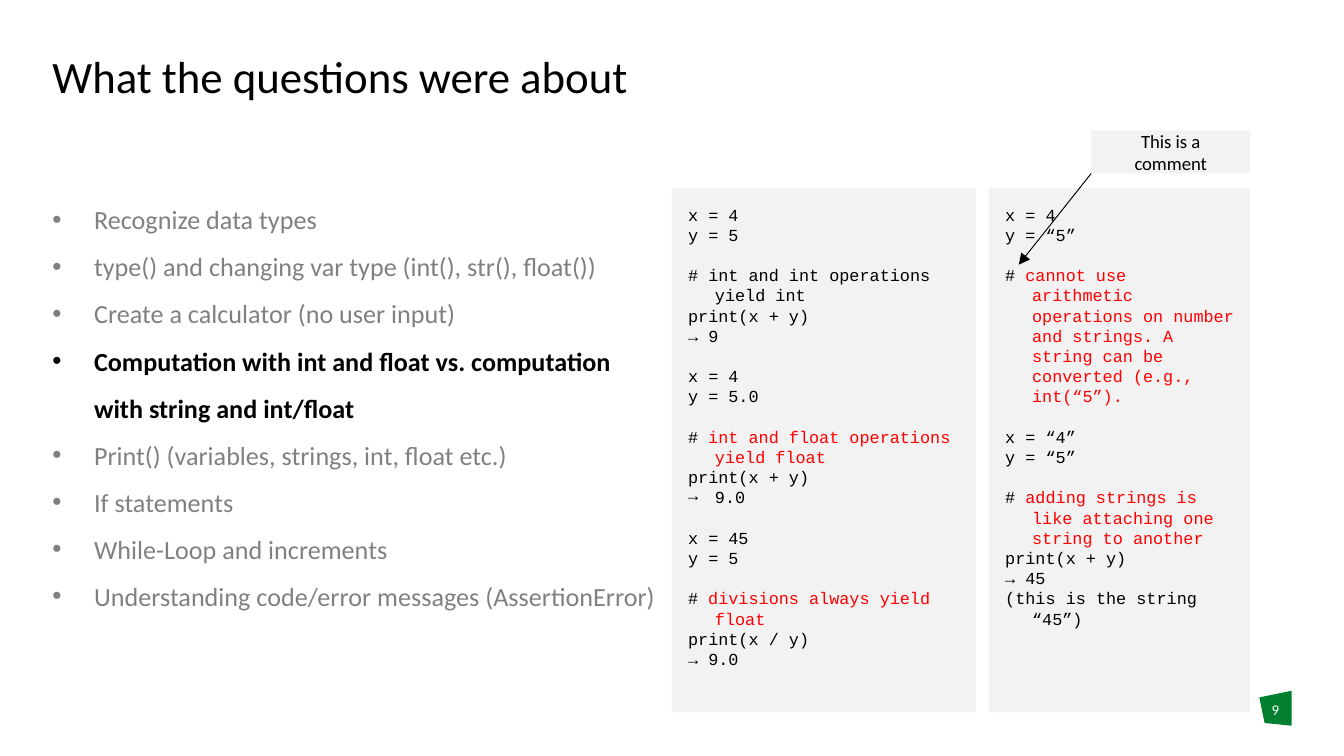
from lxml.etree import SubElement
from pptx import Presentation
from pptx.dml.color import RGBColor
from pptx.enum.shapes import MSO_CONNECTOR, MSO_SHAPE
from pptx.enum.text import MSO_ANCHOR, MSO_AUTO_SIZE, PP_ALIGN
from pptx.oxml.ns import qn
from pptx.util import Inches, Pt

COLORS = {"text": "000000", "muted": "808080", "comment": "FF0000",
          "panel": "F2F2F2", "badge": "00802F", "white": "FFFFFF"}

TOPICS = [
    "Recognize data types",
    "type() and changing var type (int(), str(), float())",
    "Create a calculator (no user input)",
    "Computation with int and float vs. computation with string and int/float",
    "Print() (variables, strings, int, float etc.)",
    "If statements",
    "While-Loop and increments",
    "Understanding code/error messages (AssertionError)",
]
CURRENT_TOPIC = 3

# Blocks of code lines; a pair is a "# " followed by a highlighted comment
NUMBER_CODE = [
    ["x = 4", "y = 5"],
    ["# int and int operations yield int", "print(x + y)", "→ 9"],
    ["x = 4", "y = 5.0"],
    [("# ", "int and float operations yield float"), "print(x + y)", "→\t9.0"],
    ["x = 45", "y = 5"],
    [("# ", "divisions always yield float"), "print(x / y)", "→ 9.0"],
]
STRING_CODE = [
    ["x = 4", "y = “5”"],
    [("# ", "cannot use arithmetic operations on number and strings. "
            "A string can be converted (e.g., int(“5”).")],
    ["x = “4”", "y = “5”"],
    [("# ", "adding strings is like attaching one string to another"),
     "print(x + y)", "→ 45", "(this is the string “45”)"],
]


class SlideBuilder:
    font = "Calibri"
    code_font = "Courier New"
    bullet_fonts = {"•": "Arial", "→": "Courier New"}
    code_size = 9
    code_gap = 10.8

    def __init__(self, prs):
        self.s = prs.slides.add_slide(prs.slide_layouts[5])

    def color(self, name):
        return RGBColor.from_string(COLORS[name])

    def frame(self, sp, insets=(0, 0, 0, 0), anchor=MSO_ANCHOR.TOP):
        tf = sp.text_frame
        tf.word_wrap = True
        tf.auto_size = MSO_AUTO_SIZE.NONE
        tf.vertical_anchor = anchor
        (tf.margin_left, tf.margin_top,
         tf.margin_right, tf.margin_bottom) = map(Inches, insets)
        return tf

    def paragraph(self, tf, first, indent=0, bullet=None):
        p = tf.paragraphs[0] if first else tf.add_paragraph()
        p.alignment = PP_ALIGN.LEFT
        pPr = p._p.get_or_add_pPr()
        pPr.set("marL", str(Inches(indent)))
        pPr.set("indent", str(-Inches(indent)))
        if bullet:
            SubElement(pPr, qn("a:buFont")).set("typeface", self.bullet_fonts[bullet])
            SubElement(pPr, qn("a:buChar")).set("char", bullet)
        return p

    def run(self, p, text, size, color="text", font=None, bold=False):
        r = p.add_run()
        r.text = text
        r.font.name = font or self.font
        r.font.size = Pt(size)
        r.font.bold = bold
        r.font.color.rgb = self.color(color)
        return r

    def title(self, text, x, y, w, h):
        sp = self.s.shapes.title
        sp.left, sp.top, sp.width, sp.height = map(Inches, (x, y, w, h))
        p = self.paragraph(self.frame(sp), True)
        p.line_spacing = 0.9
        self.run(p, text, 24)

    def bullets(self, items, current, x, y, w, h):
        sp = self.s.shapes.add_textbox(*map(Inches, (x, y, w, h)))
        tf = self.frame(sp)
        for i, text in enumerate(items):
            p = self.paragraph(tf, i == 0, 0.31, "•")
            p.line_spacing = 1.5
            active = i == current
            self.run(p, text, 14, "text" if active else "muted", bold=active)

    def panel(self, x, y, w, h):
        sp = self.s.shapes.add_shape(MSO_SHAPE.RECTANGLE,
                                     *map(Inches, (x, y, w, h)))
        sp.shadow.inherit = False
        sp.fill.solid()
        sp.fill.fore_color.rgb = self.color("panel")
        sp.line.fill.background()
        return sp

    def code(self, blocks, x, y, w, h):
        tf = self.frame(self.panel(x, y, w, h), (0.12, 0.12, 0.11, 0.08))
        for i, block in enumerate(blocks):
            for j, line in enumerate(block):
                parts = (line,) if isinstance(line, str) else line
                bullet = None
                if parts[0].startswith("→\t"):
                    bullet, text = parts[0].split("\t")
                    parts = (text,)
                p = self.paragraph(tf, i == j == 0, 0.2, bullet)
                if i and j == 0:
                    p.space_before = Pt(self.code_gap)
                for part, color in zip(parts, ("text", "comment")):
                    self.run(p, part, self.code_size, color, self.code_font)

    def callout(self, text, x, y, w, h):
        sp = self.panel(x, y, w, h)
        tf = self.frame(sp, (0.1, 0.05, 0.1, 0.05), MSO_ANCHOR.MIDDLE)
        p = self.paragraph(tf, True)
        p.alignment = PP_ALIGN.CENTER
        self.run(p, text, 10)

    def arrow(self, x1, y1, x2, y2):
        line = self.s.shapes.add_connector(MSO_CONNECTOR.STRAIGHT,
                                           *map(Inches, (x1, y1, x2, y2)))
        line.line.color.rgb = self.color("text")
        line.line.width = Pt(0.5)
        ln = line._element.spPr.find(qn("a:ln"))
        SubElement(ln, qn("a:tailEnd")).set("type", "triangle")
        SubElement(line._element.spPr, qn("a:effectLst"))

    def page_number(self, number, outline, x, y, w, h):
        points = [(Inches(px), Inches(py)) for px, py in outline]
        builder = self.s.shapes.build_freeform(*points[0])
        builder.add_line_segments(points[1:], close=True)
        badge = builder.convert_to_shape()
        badge.shadow.inherit = False
        badge.fill.solid()
        badge.fill.fore_color.rgb = self.color("badge")
        badge.line.fill.background()
        sp = self.s.shapes.add_textbox(*map(Inches, (x, y, w, h)))
        p = self.paragraph(self.frame(sp), True)
        p.alignment = PP_ALIGN.CENTER
        r = self.run(p, number, 8, "white")
        r._r.get_or_add_rPr().set("spc", "-30")


def main():
    prs = Presentation()
    prs.slide_width = Inches(10)
    prs.slide_height = prs.slide_width * 9 // 16
    slide = SlideBuilder(prs)
    left, top = 0.39, 1.4

    # Title and topic list
    slide.title("What the questions were about", left, 0.41, 9.22, 0.67)
    slide.bullets(TOPICS, CURRENT_TOPIC, left, top, 4.51, 3.5)

    # Page number badge
    slide.page_number("9", [(9.37, 5.19), (9.61, 5.14), (9.61, 5.4), (9.41, 5.38)],
                      9.37, 5.21, 0.24, 0.3)

    # Code panels
    slide.code(NUMBER_CODE, 5, top, 2.26, 3.9)
    slide.code(STRING_CODE, 7.36, top, 1.94, 3.9)

    # Callout pointing at the comment
    slide.arrow(8.12, 1.29, 7.58, 1.97)
    slide.callout("This is a comment", 8.12, 0.97, 1.18, 0.32)

    prs.save("out.pptx")


if __name__ == "__main__":
    main()
